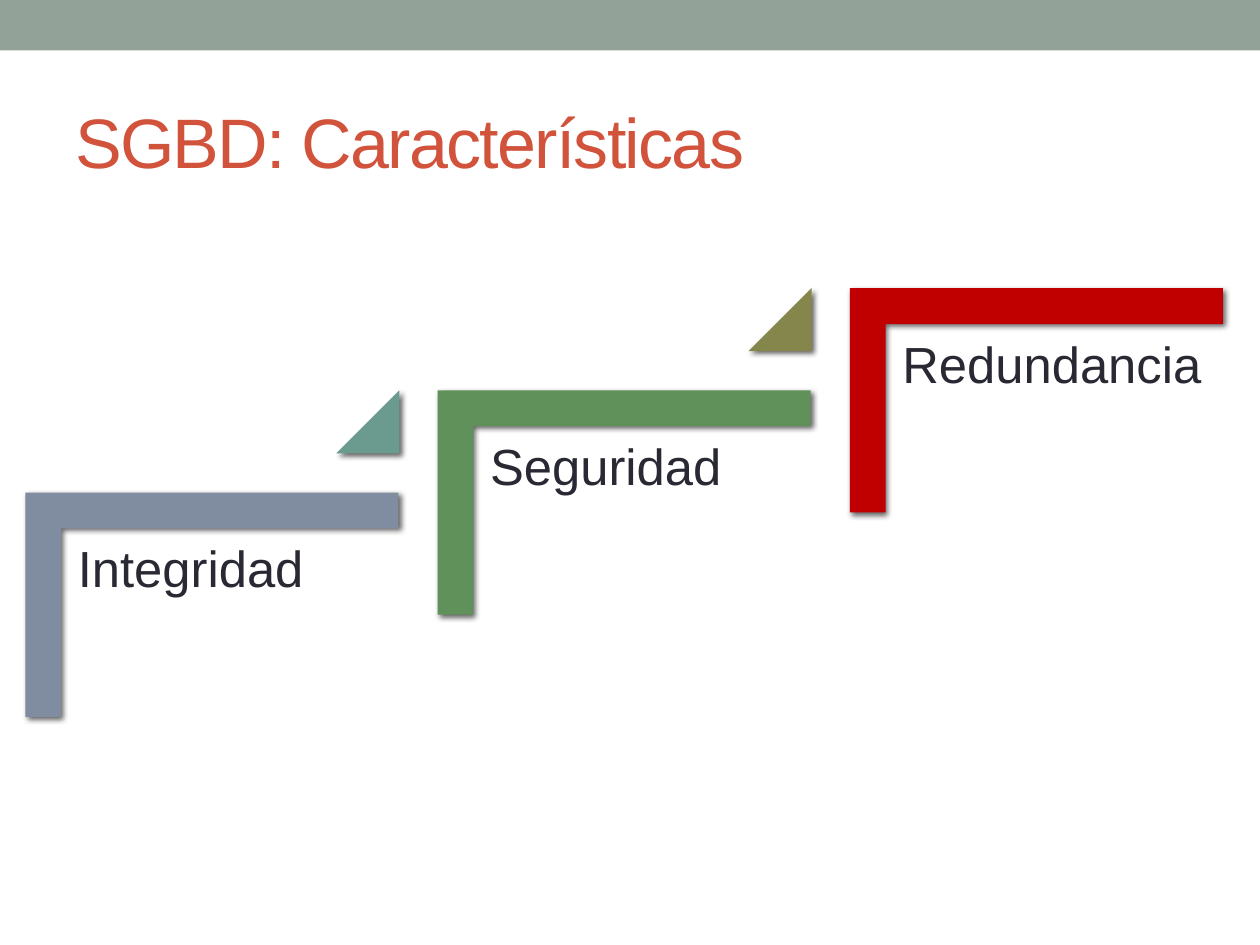
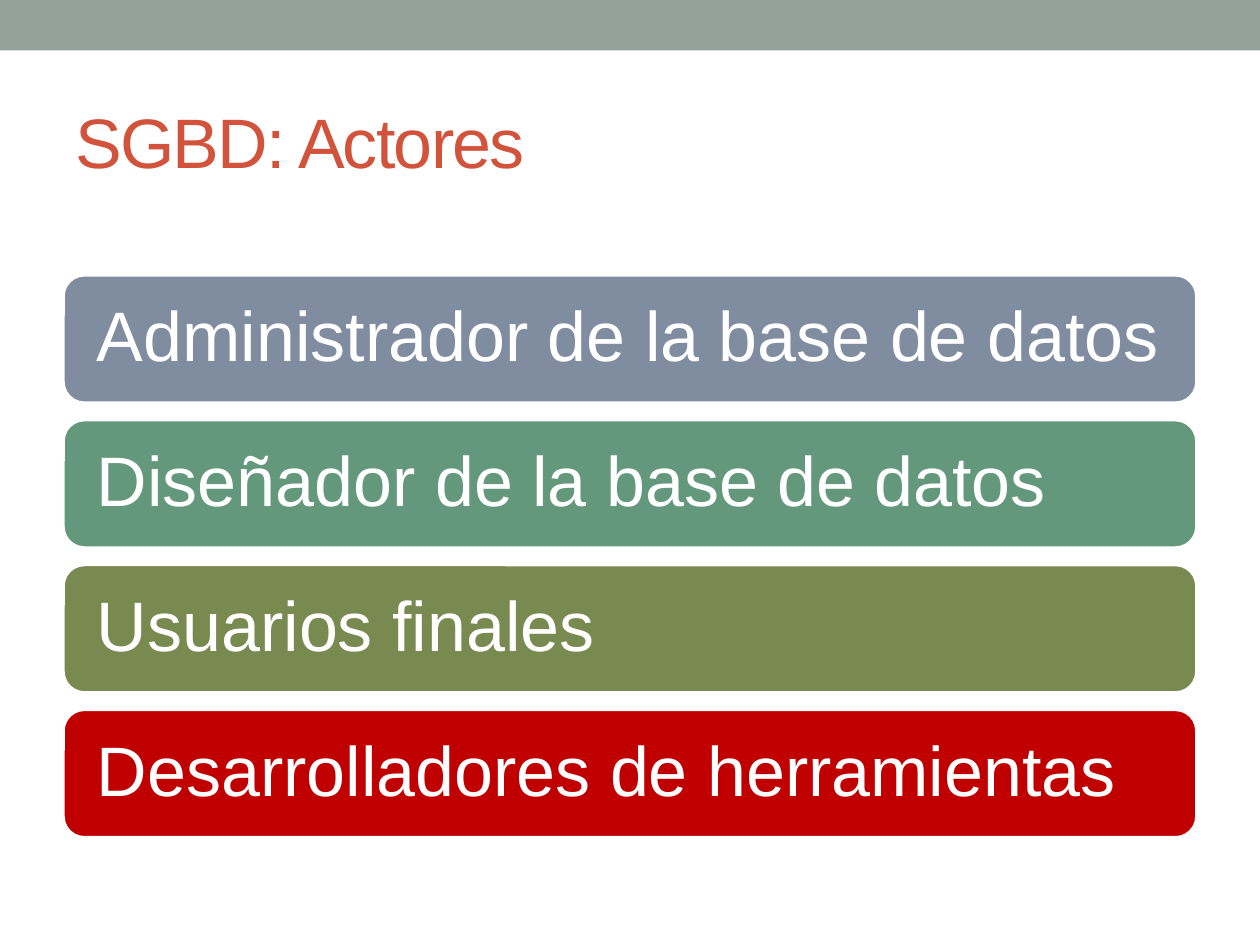
"""Build two slides on the features and the actors of a SGBD."""
from lxml import etree
from pptx import Presentation
from pptx.dml.color import RGBColor
from pptx.enum.shapes import MSO_SHAPE
from pptx.enum.text import MSO_ANCHOR, PP_ALIGN
from pptx.oxml import parse_xml
from pptx.oxml.ns import nsdecls
from pptx.util import Cm, Pt

SAGE = RGBColor(0x93, 0xA2, 0x99)
RUST = RGBColor(0xD2, 0x53, 0x3C)
INK = RGBColor(0x29, 0x29, 0x34)
WHITE = RGBColor(0xFF, 0xFF, 0xFF)
SLATE = RGBColor(0x80, 0x8D, 0xA0)
TEAL = RGBColor(0x6B, 0x9A, 0x8E)
GREEN = RGBColor(0x61, 0x91, 0x5A)
OLIVE = RGBColor(0x85, 0x86, 0x4B)
JADE = RGBColor(0x64, 0x98, 0x7C)
MOSS = RGBColor(0x78, 0x8A, 0x50)
RED = RGBColor(0xC0, 0x00, 0x00)

STEPS = [
    ("Integridad", SLATE, TEAL),
    ("Seguridad", GREEN, OLIVE),
    ("Redundancia", RED, None),
]
ACTORS = [
    ("Administrador de la base de datos", SLATE),
    ("Diseñador de la base de datos", JADE),
    ("Usuarios finales", MOSS),
    ("Desarrolladores de herramientas", RED),
]

WIDTH, HEIGHT = 25.4, 19.05
EDGE = 1.27
SPAN = WIDTH - 2 * EDGE
STEP_X, STEP_Y = 8.31, -2.06
BAR_TOP, BAR_GAP = 5.54, 2.92

TITLE = {"size": Pt(40), "name": "Arial", "color": RUST}
LABEL = {"size": Pt(29), "name": "Arial", "color": INK}
ACTOR = {"size": Pt(40), "name": "Arial", "color": WHITE}

SHADOW = (
    f'<a:effectLst {nsdecls("a")}>'
    '<a:outerShdw blurRad="38100" dist="25400" dir="2700000" rotWithShape="0">'
    '<a:srgbClr val="000000"><a:alpha val="60000"/></a:srgbClr>'
    '</a:outerShdw></a:effectLst>'
)


def place(box):
    """Turn centimetres into lengths."""
    return [Cm(n) for n in box]


def draw(slide, kind, box, fill, shade=False):
    """Add a plain filled shape, with a soft shadow on request."""
    shape = slide.shapes.add_shape(kind, *place(box))
    shape.fill.solid()
    shape.fill.fore_color.rgb = fill
    shape.line.fill.background()
    if shade:
        shape.element.spPr.append(parse_xml(SHADOW))
    else:
        shape.shadow.inherit = False
    return shape


def write(shape, text, style, anchor, pad, lead=None):
    """Put one styled paragraph into a shape."""
    frame = shape.text_frame
    sides = {"left": pad[0], "right": pad[0], "top": pad[1], "bottom": pad[1]}
    for side, size in sides.items():
        setattr(frame, f"margin_{side}", Cm(size))
    frame.word_wrap = True
    frame.vertical_anchor = anchor
    para = frame.paragraphs[0]
    para.alignment = PP_ALIGN.LEFT
    para.line_spacing = lead
    run = para.add_run()
    run.text = text
    for key, value in style.items():
        if key == "color":
            run.font.color.rgb = value
        else:
            setattr(run.font, key, value)


def start(deck, title):
    """Add a slide with the top band and its title."""
    slide = deck.slides.add_slide(deck.slide_layouts[6])
    draw(slide, MSO_SHAPE.RECTANGLE, (0, 0, WIDTH, 1.02), SAGE)
    head = slide.shapes.add_textbox(*place((EDGE, 1.47, SPAN, 2.74)))
    write(head, title, TITLE, MSO_ANCHOR.MIDDLE, (0.25, 0.13))
    for props in head.element.xpath(".//a:rPr"):
        props.set("spc", "-100")
    return slide


def stairs(slide):
    """Draw the rising steps with their labels and triangles."""
    for i, (text, fill, mark) in enumerate(STEPS):
        dx, dy = i * STEP_X, i * STEP_Y
        angle = draw(slide, MSO_SHAPE.CORNER,
                     (2.01 + dx, 8.43 + dy, 4.52, 7.52), fill, True)
        angle.rotation = 90
        for k in range(2):
            angle.adjustments[k] = 0.16
        label = slide.shapes.add_textbox(
            *place((EDGE + dx, 10.67 + dy, 6.78, 5.94)))
        write(label, text, LABEL, MSO_ANCHOR.TOP, (0.3, 0.3), 0.9)
        if mark:
            peak = draw(slide, MSO_SHAPE.ISOSCELES_TRIANGLE,
                        (6.78 + dx, 7.87 + dy, 1.27, 1.27), mark, True)
            peak.adjustments[0] = 1


def bars(slide):
    """Draw one rounded bar per actor."""
    for i, (text, fill) in enumerate(ACTORS):
        bar = draw(slide, MSO_SHAPE.ROUNDED_RECTANGLE,
                   (EDGE, BAR_TOP + i * BAR_GAP, SPAN, 2.59), fill)
        bar.line.color.rgb = WHITE
        bar.line.width = Pt(2.08)
        write(bar, text, ACTOR, MSO_ANCHOR.MIDDLE, (0.56, 0.3), 0.9)


def main():
    """Build and save the deck."""
    deck = Presentation()
    deck.slide_width, deck.slide_height = place((WIDTH, HEIGHT))
    stairs(start(deck, "SGBD: Características"))
    bars(start(deck, "SGBD: Actores"))
    deck.save("out.pptx")


if __name__ == "__main__":
    main()
